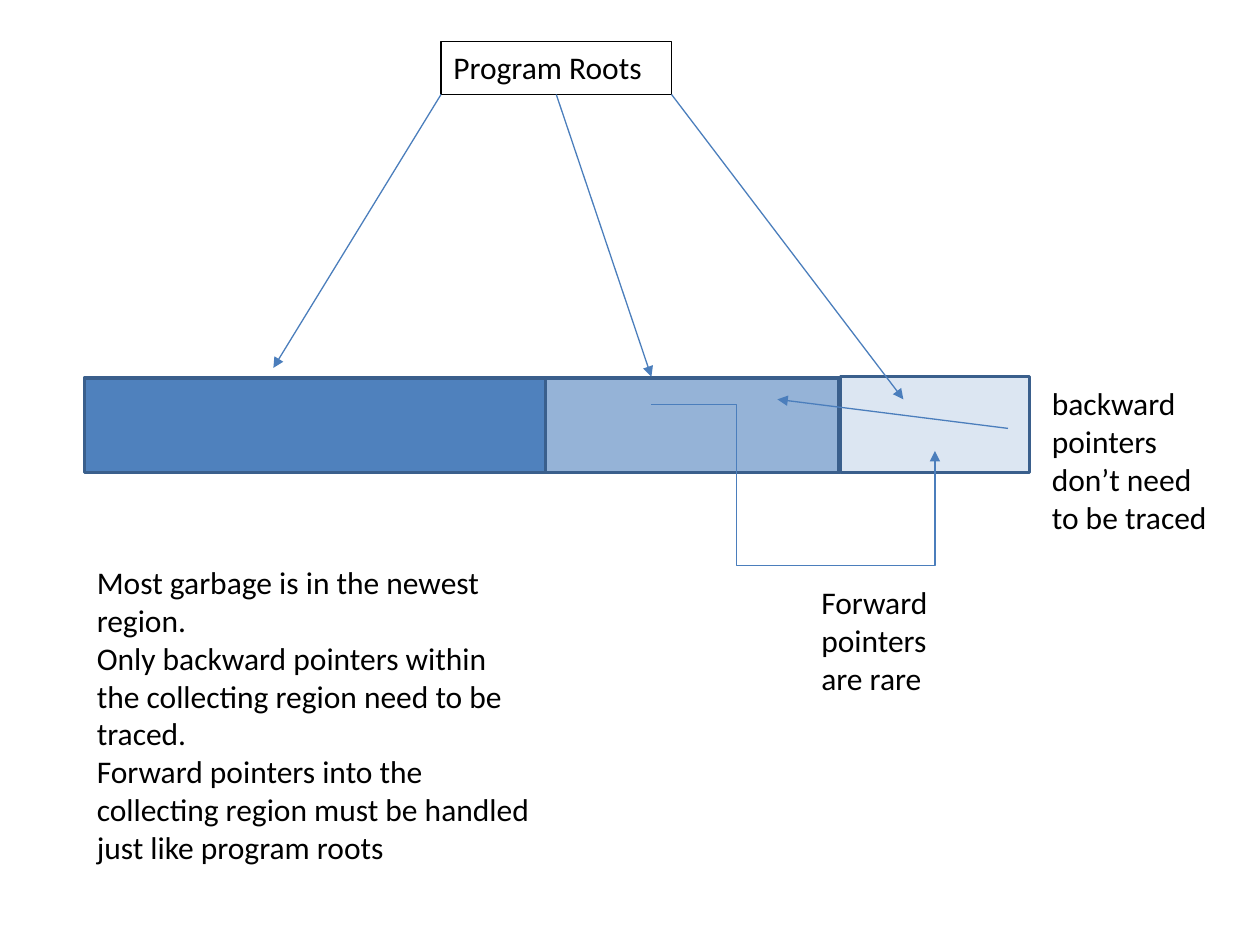
from typing import NamedTuple

from lxml.etree import SubElement
from pptx import Presentation
from pptx.dml.color import RGBColor
from pptx.enum.shapes import MSO_CONNECTOR, MSO_SHAPE
from pptx.enum.text import MSO_ANCHOR, MSO_AUTO_SIZE, PP_ALIGN
from pptx.oxml.ns import qn
from pptx.shapes.autoshape import Shape
from pptx.shapes.connector import Connector
from pptx.shapes.shapetree import SlideShapes
from pptx.util import Inches, Pt

BLACK = RGBColor(0x00, 0x00, 0x00)
BLUE = RGBColor(0x4F, 0x81, 0xBD)
MID = RGBColor(0x95, 0xB3, 0xD7)
PALE = RGBColor(0xDC, 0xE6, 0xF2)
EDGE = RGBColor(0x3A, 0x5F, 0x8C)
ARROW = RGBColor(0x4B, 0x7E, 0xBC)


class Region(NamedTuple):
    left: float
    top: float
    width: float
    height: float
    fill: RGBColor


class Pointer(NamedTuple):
    start: tuple[float, float]
    end: tuple[float, float]


class Note(NamedTuple):
    left: float
    top: float
    width: float
    height: float
    lines: tuple[str, ...]


REGIONS = (
    Region(0.67, 3, 3.67, 0.75, BLUE),
    Region(4.33, 3, 2.33, 0.75, MID),
    Region(6.67, 2.99, 1.5, 0.76, PALE),
)
ROOTS = Note(3.5, 0.33, 1.83, 0.42, ("Program Roots",))
LEFT = Pointer((3.5, 0.75), (2.17, 2.92))
MIDDLE = Pointer((4.42, 0.75), (5.17, 2.99))
RIGHT = Pointer((5.33, 0.75), (7.17, 3.17))
FORWARD = Pointer((5.17, 3.21), (7.42, 3.58))
BACKWARD = Pointer((8, 3.4), (6.17, 3.17))
NOTES = (
    Note(6.42, 4.58, 1.08, 1.01, ("Forward pointers are rare",)),
    Note(8.25, 3, 1.5, 1.31, ("backward pointers don’t need to be traced",)),
    Note(0.67, 4.42, 3.67, 2.52, (
        "Most garbage is in the newest region.",
        "Only backward pointers within the collecting region need to be traced.",
        "Forward pointers into the collecting region must be handled "
        "just like program roots",
    )),
)


def add_region(shapes: SlideShapes, item: Region) -> None:
    box = shapes.add_shape(MSO_SHAPE.RECTANGLE, *map(Inches, item[:4]))
    box.shadow.inherit = False
    box.fill.solid()
    box.fill.fore_color.rgb = item.fill
    box.line.color.rgb = EDGE
    box.line.width = Pt(2)


def write(box: Shape, lines: tuple[str, ...]) -> None:
    frame = box.text_frame
    frame.word_wrap = True
    frame.auto_size = MSO_AUTO_SIZE.SHAPE_TO_FIT_TEXT
    frame.vertical_anchor = MSO_ANCHOR.TOP
    for index, line in enumerate(lines):
        para = frame.add_paragraph() if index else frame.paragraphs[0]
        para.alignment = PP_ALIGN.LEFT
        run = para.add_run()
        run.text = line
        run.font.name = "Calibri"
        run.font.size = Pt(18)
        run.font.color.rgb = BLACK


def add_roots(shapes: SlideShapes, item: Note) -> Shape:
    box = shapes.add_shape(MSO_SHAPE.RECTANGLE, *map(Inches, item[:4]))
    box.shadow.inherit = False
    box.fill.background()
    box.line.color.rgb = BLACK
    box.line.width = Pt(0.75)
    write(box, item.lines)
    return box


def add_note(shapes: SlideShapes, item: Note) -> None:
    write(shapes.add_textbox(*map(Inches, item[:4])), item.lines)


def add_arrow(shapes: SlideShapes, item: Pointer,
              kind: MSO_CONNECTOR = MSO_CONNECTOR.STRAIGHT) -> Connector:
    arrow = shapes.add_connector(kind, *map(Inches, item.start + item.end))
    arrow.line.color.rgb = ARROW
    arrow.line.width = Pt(0.75)
    props = arrow.element.spPr
    SubElement(props.find(qn("a:ln")), qn("a:tailEnd"), type="triangle")
    SubElement(props, qn("a:effectLst"))
    return arrow


def bend(arrow: Connector, *ratios: float) -> None:
    shape = arrow.element.spPr.find(qn("a:prstGeom"))
    shape.set("prst", "bentConnector4")
    guides = shape.find(qn("a:avLst"))
    for index, ratio in enumerate(ratios, 1):
        SubElement(guides, qn("a:gd"), name=f"adj{index}",
                   fmla=f"val {round(ratio * 100000)}")


def main() -> None:
    """Build the slide on pointers between garbage collection regions."""
    deck = Presentation()
    deck.slide_width, deck.slide_height = Inches(10), Inches(7.5)
    shapes = deck.slides.add_slide(deck.slide_layouts[6]).shapes
    for region in REGIONS:
        add_region(shapes, region)
    roots = add_roots(shapes, ROOTS)
    add_arrow(shapes, LEFT)
    add_arrow(shapes, MIDDLE).begin_connect(roots, 2)
    add_arrow(shapes, RIGHT)
    bend(add_arrow(shapes, FORWARD, MSO_CONNECTOR.ELBOW), 0.3, 3.46)
    add_arrow(shapes, BACKWARD)
    for note in NOTES:
        add_note(shapes, note)
    deck.save("out.pptx")


if __name__ == "__main__":
    main()
